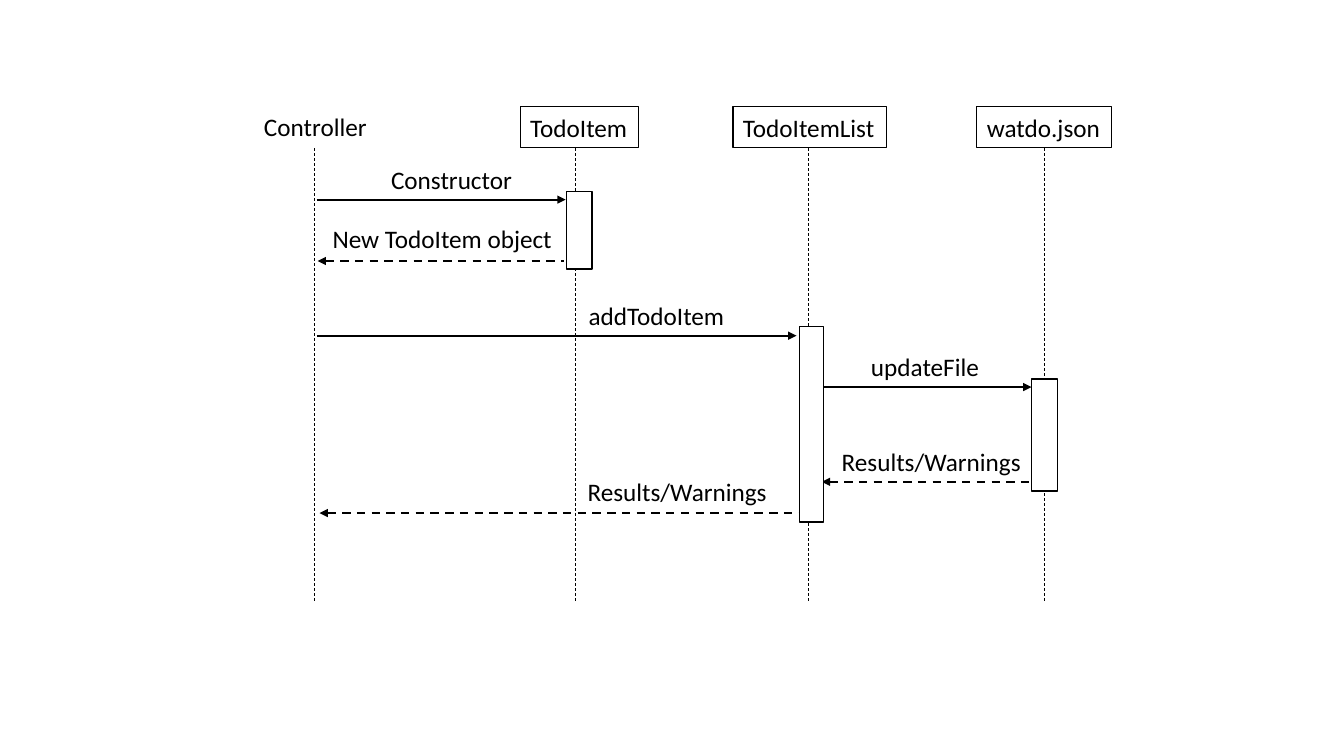
from pptx import Presentation
from pptx.dml.color import RGBColor
from pptx.enum.dml import MSO_LINE
from pptx.enum.shapes import MSO_CONNECTOR, MSO_SHAPE
from pptx.enum.text import MSO_AUTO_SIZE, PP_ALIGN
from pptx.oxml.ns import qn
from pptx.util import Inches, Pt
from lxml import etree

BLACK = RGBColor(0x00, 0x00, 0x00)
WHITE = RGBColor(0xFF, 0xFF, 0xFF)
DASH = MSO_LINE.DASH
STRAIGHT = MSO_CONNECTOR.STRAIGHT
RECTANGLE = MSO_SHAPE.RECTANGLE
FIT_SHAPE = MSO_AUTO_SIZE.SHAPE_TO_FIT_TEXT
LEFT = PP_ALIGN.LEFT

HEADER_TOP = 1.06
TEXT_HEIGHT = 0.4
LIFELINE_TOP = 1.47
LIFELINE_BOTTOM = 5.97

LIFELINES = [3.12, 5.71, 8.02, 10.36]
PARTICIPANTS = [
    ("TodoItem", 5.16, 1.17),
    ("TodoItemList", 7.27, 1.52),
    ("watdo.json", 9.69, 1.33),
]
CALLS = [(3.14, 5.61, 1.98), (3.14, 7.9, 3.33), (8.02, 10.23, 3.84)]
REPLIES = [(3.15, 5.59, 2.59), (8.15, 10.36, 4.78), (3.17, 7.93, 5.09)]
LABELS = [
    ("Controller", 2.52, HEADER_TOP, 1.23),
    ("Constructor", 3.78, 1.58, 1.41),
    ("New TodoItem object", 3.2, 2.17, 2.4),
    ("addTodoItem", 5.74, 2.93, 1.56),
    ("updateFile", 8.54, 3.44, 1.29),
    ("Results/Warnings", 8.25, 4.38, 2),
    ("Results/Warnings", 5.73, 4.68, 2),
]
ACTIVATIONS = [
    (5.62, 1.9, 0.25, 0.77),
    (7.93, 3.24, 0.24, 1.94),
    (10.23, 3.76, 0.26, 1.11),
]


def write_text(box, text, size=18, font="Calibri", color=BLACK):
    frame = box.text_frame
    frame.word_wrap = False
    frame.auto_size = FIT_SHAPE
    para = frame.paragraphs[0]
    para.alignment = LEFT
    span = para.add_run()
    span.text = text
    span.font.size = Pt(size)
    span.font.name = font
    span.font.color.rgb = color


def add_label(page, text, left, top, width):
    box = page.shapes.add_textbox(
        Inches(left), Inches(top), Inches(width), Inches(TEXT_HEIGHT)
    )
    write_text(box, text)


def add_box(page, left, top, width, height, line_width, fill=None):
    box = page.shapes.add_shape(
        RECTANGLE, Inches(left), Inches(top), Inches(width), Inches(height)
    )
    box.shadow.inherit = False
    if fill is None:
        box.fill.background()
    else:
        box.fill.solid()
        box.fill.fore_color.rgb = fill
    box.line.color.rgb = BLACK
    box.line.width = Pt(line_width)
    return box


def add_line(page, start, end, width, dashed=False, arrow=None):
    line = page.shapes.add_connector(STRAIGHT, *map(Inches, start + end))
    line.line.color.rgb = BLACK
    line.line.width = Pt(width)
    if dashed:
        line.line.dash_style = DASH
    properties = line._element.spPr
    if arrow:
        outline = properties.find(qn("a:ln"))
        etree.SubElement(outline, qn(f"a:{arrow}"), type="triangle")
    etree.SubElement(properties, qn("a:effectLst"))


def main():
    deck = Presentation()
    deck.slide_width = Inches(13.33)
    deck.slide_height = Inches(7.5)
    page = deck.slides.add_slide(deck.slide_layouts[6])

    for x in LIFELINES:
        add_line(page, (x, LIFELINE_TOP), (x, LIFELINE_BOTTOM), 0.5, dashed=True)
    for name, left, width in PARTICIPANTS:
        write_text(add_box(page, left, HEADER_TOP, width, TEXT_HEIGHT, 0.75), name)
    for left, right, y in CALLS:
        add_line(page, (left, y), (right, y), 1.5, arrow="tailEnd")
    for left, right, y in REPLIES:
        add_line(page, (left, y), (right, y), 1.5, dashed=True, arrow="headEnd")
    for label in LABELS:
        add_label(page, *label)
    for activation in ACTIVATIONS:
        add_box(page, *activation, line_width=1, fill=WHITE)

    deck.save("out.pptx")


if __name__ == "__main__":
    main()
